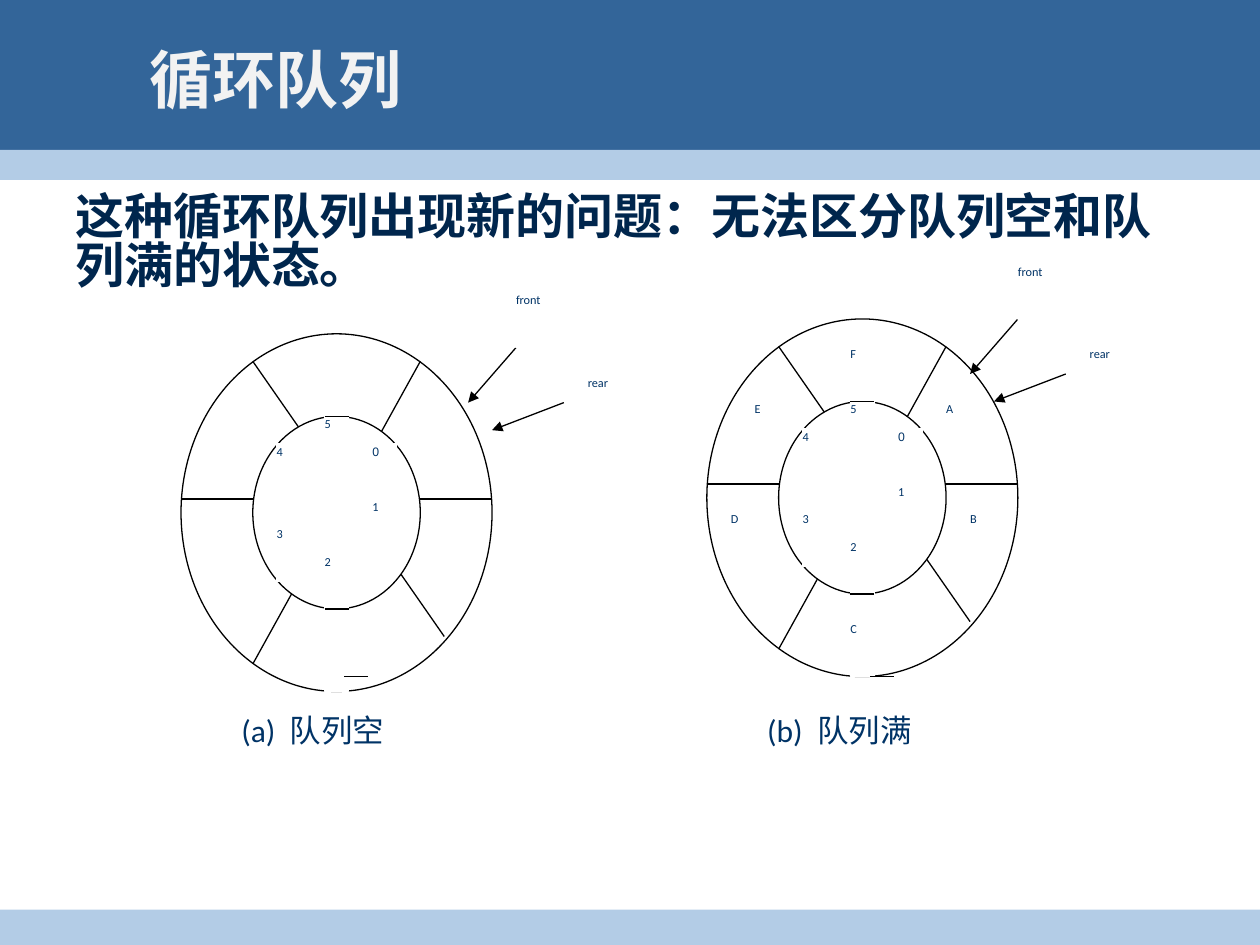
import pptx
import pptx.util
import pptx.dml.color
import pptx.enum.shapes
import pptx.enum.text
import pptx.oxml.ns
import lxml.etree

Cm, Pt = pptx.util.Cm, pptx.util.Pt
RGBColor = pptx.dml.color.RGBColor
SHAPE = pptx.enum.shapes.MSO_SHAPE
ANCHOR = pptx.enum.text.MSO_ANCHOR
qn = pptx.oxml.ns.qn

BLUE = RGBColor(0x33, 0x65, 0x99)
PALE_BLUE = RGBColor(0xB3, 0xCC, 0xE6)
NAVY = RGBColor(0x00, 0x26, 0x4D)
LABEL = RGBColor(0x00, 0x33, 0x66)
OFF_WHITE = RGBColor(0xF2, 0xF2, 0xF2)
WHITE = RGBColor(0xFF, 0xFF, 0xFF)
BLACK = RGBColor(0x00, 0x00, 0x00)

CJK_FONT = "Noto Sans CJK SC"

# The ring is drawn on a grid of 13 columns by 13 rows.
GRID = 13
RING_W, RING_H = 6.27, 7.21
CELL_W, CELL_H = RING_W / GRID, RING_H / GRID

# Column and row of each slot label (outside) and index label (inside).
SLOTS = [(10, 3), (11, 7), (6, 11), (1, 7), (2, 3), (6, 1)]
INDEXES = [(8, 4), (8, 6), (6, 8), (4, 7), (4, 4), (6, 3)]
SPOKES = [(0, 6, 13, 6), (3, 1, 11, 11), (10, 1, 3, 12)]


def add_shape(slide, kind, left, top, width, height, fill, line=None):
    sp = slide.shapes.add_shape(kind, Cm(left), Cm(top), Cm(width), Cm(height))
    sp.shadow.inherit = False
    sp.fill.solid()
    sp.fill.fore_color.rgb = fill
    if line is None:
        sp.line.fill.background()
    else:
        sp.line.color.rgb = line
        sp.line.width = Pt(0.75)
    return sp


def set_text(sp, text, size, color, font, bold=False):
    tf = sp.text_frame
    tf.word_wrap = True
    p = tf.paragraphs[0]
    p.text = text
    p.alignment = pptx.enum.text.PP_ALIGN.LEFT
    p.font.size = Pt(size)
    p.font.bold = bold
    p.font.name = font
    p.font.color.rgb = color
    if font == CJK_FONT:
        for r in p.runs:
            ea = lxml.etree.SubElement(r._r.get_or_add_rPr(), qn("a:ea"))
            ea.set("typeface", font)
    return tf


def add_heading(slide, left, top, width, height, text, size, color):
    sp = slide.shapes.add_textbox(Cm(left), Cm(top), Cm(width), Cm(height))
    return set_text(sp, text, size, color, CJK_FONT, bold=True)


def add_label(slide, left, top, width, height, text, font="Calibri"):
    sp = add_shape(slide, SHAPE.RECTANGLE, left, top, width, height, WHITE, WHITE)
    if text:
        tf = set_text(sp, text, 7, LABEL, font)
        tf.vertical_anchor = ANCHOR.TOP
        tf.margin_left = tf.margin_right = tf.margin_top = tf.margin_bottom = 0


def add_line(slide, x1, y1, x2, y2, arrow=False):
    ln = slide.shapes.add_connector(
        pptx.enum.shapes.MSO_CONNECTOR.STRAIGHT, Cm(x1), Cm(y1), Cm(x2), Cm(y2))
    ln.line.color.rgb = BLACK
    ln.line.width = Pt(0.75)
    if arrow:
        tail = lxml.etree.SubElement(ln.line._get_or_add_ln(), qn("a:tailEnd"))
        tail.set("type", "triangle")
    lxml.etree.SubElement(ln._element.spPr, qn("a:effectLst"))


def add_grid_line(slide, left, top, ends, arrow=False):
    """Draw a line whose ends are given in grid columns and rows."""
    x1, y1, x2, y2 = ends
    add_line(slide, left + x1 * CELL_W, top + y1 * CELL_H,
             left + x2 * CELL_W, top + y2 * CELL_H, arrow)


def add_grid_label(slide, left, top, cell, columns, text, font="Calibri"):
    """Put a label two rows high at a grid column and row."""
    column, row = cell
    add_label(slide, left + column * CELL_W, top + row * CELL_H,
              columns * CELL_W, 2 * CELL_H, text, font)


def add_ring(slide, left, top, items):
    add_shape(slide, SHAPE.OVAL, left, top, RING_W, RING_H, WHITE, BLACK)
    for spoke in SPOKES:
        add_grid_line(slide, left, top, spoke)
    add_shape(slide, SHAPE.OVAL, left + 3 * CELL_W, top + 3 * CELL_H,
              7 * CELL_W, 7 * CELL_H, WHITE, BLACK)
    for cell, item in zip(SLOTS, items):
        add_grid_label(slide, left, top, cell, 1, item)
    for number, cell in enumerate(INDEXES):
        font = "Arial" if number == 0 else "Calibri"
        add_grid_label(slide, left, top, cell, 1, str(number), font)
    for row in (3, 10):
        add_grid_line(slide, left, top, (6, row, 7, row))


def add_pointers(slide, left, top):
    """Add the front and rear arrows with their labels."""
    add_grid_line(slide, left, top, (13, 0, 11, 2), arrow=True)
    add_grid_line(slide, left, top, (15, 2, 12, 3), arrow=True)
    add_grid_label(slide, left, top, (16, 1), 3, "rear")
    add_grid_label(slide, left, top, (13, -2), 3, "front")


def add_queue(slide, left, top, items, pointer_shift, caption, caption_top):
    sp = add_shape(slide, SHAPE.RECTANGLE, left + 2 * CELL_W, caption_top,
                   4.55, 1.65, WHITE, WHITE)
    set_text(sp, caption, 18, LABEL, "Calibri").vertical_anchor = ANCHOR.TOP
    add_ring(slide, left, top, items)
    columns, rows = pointer_shift
    add_pointers(slide, left + columns * CELL_W, top + rows * CELL_H)
    dash_left, dash_top = left + 3.29, caption_top - 0.56
    add_line(slide, dash_left, dash_top, dash_left + CELL_W, dash_top)


def add_bands(slide):
    for top, height, fill in [(0, 3.33, BLUE), (3.02, 0.61, PALE_BLUE),
                              (18.34, 0.71, PALE_BLUE)]:
        add_shape(slide, SHAPE.RECTANGLE, 0, top, 25.4, height, fill)


def main():
    prs = pptx.Presentation()
    prs.slide_width, prs.slide_height = Cm(25.4), Cm(19.05)
    slide = prs.slides.add_slide(prs.slide_layouts[6])
    add_bands(slide)
    body = add_heading(slide, 1.27, 3.81, 22.58, 14.1,
                       "这种循环队列出现新的问题：无法区分队列空和队列满的状态。", 28, NAVY)
    body.paragraphs[0].line_spacing = 0.83
    body.paragraphs[0].space_before = Pt(5.6)
    title = add_heading(slide, 2.77, 0.41, 21.54, 2.34, "循环队列", 36, OFF_WHITE)
    title.vertical_anchor = ANCHOR.MIDDLE
    add_queue(slide, 14.25, 6.43, "ABCDEF", (0, 0), "(b)  队列满", 14.2)
    add_queue(slide, 3.65, 6.73, [""] * 6, (1, 0.5), "(a)  队列空", 14.2)
    prs.save("out.pptx")


if __name__ == "__main__":
    main()
